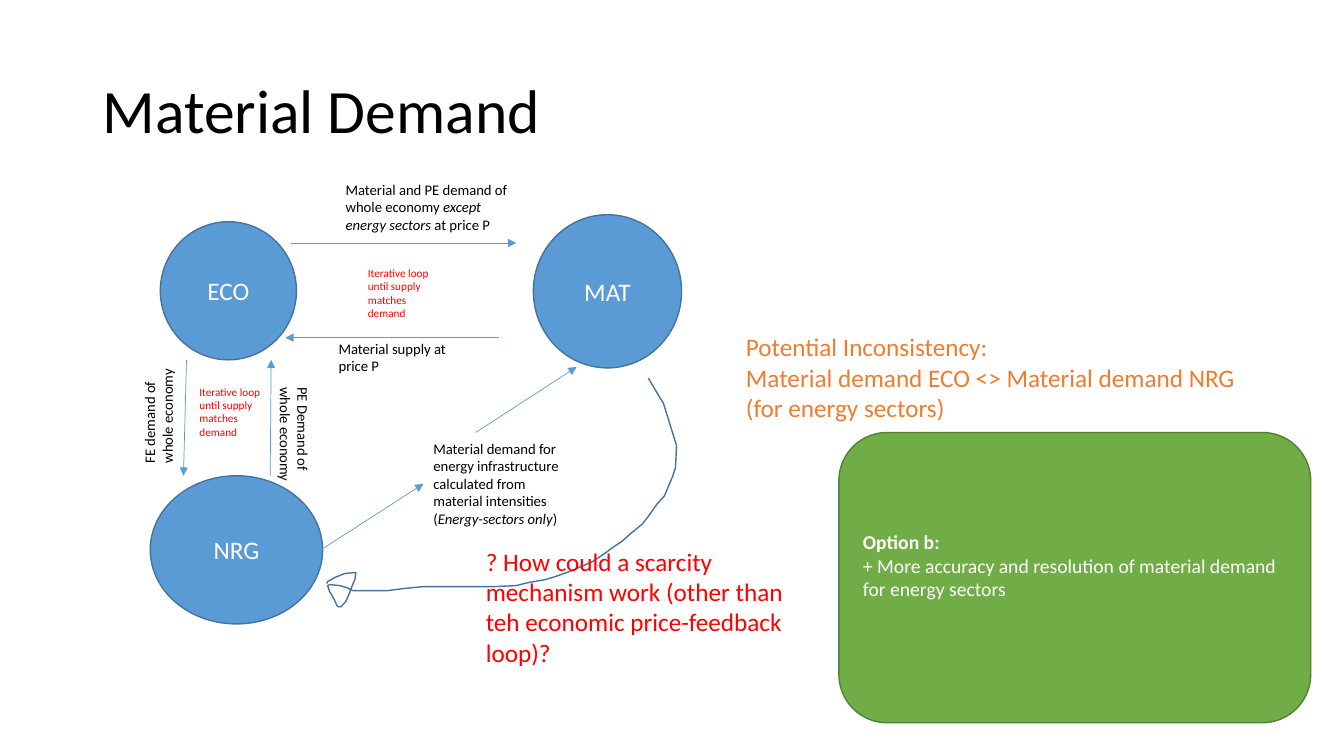
from lxml import etree
from pptx import Presentation
from pptx.dml.color import RGBColor
from pptx.enum.shapes import MSO_CONNECTOR as Link, MSO_SHAPE as Kind
from pptx.enum.text import MSO_ANCHOR as Anchor, PP_ALIGN as Align
from pptx.oxml.ns import qn
from pptx.util import Inches, Pt

BLACK, WHITE, RED, ORANGE = "000000", "FFFFFF", "FF0000", "ED7D31"
BLUE, NAVY, GREEN, MOSS = "5B9BD5", "43739E", "70AD47", "538035"

# Text is a list of paragraphs, each a list of runs; "/" marks italics, "*" bold.
TITLE = [["Material Demand"]]
LOOP = [["Iterative loop until supply matches demand"]]
OPTION = [["*Option b:"],
          ["+ More accuracy and resolution of material demand for energy sectors"]]
ISSUE = [["Potential Inconsistency:"],
         ["Material demand ECO <> Material demand NRG"],
         ["(for energy sectors)"]]
QUERY = [["? How could a scarcity mechanism work "
          "(other than teh economic price-feedback loop)?"]]

MODELS = [
    ("NRG", (1.49, 4.72, 1.71, 1.47)),
    ("MAT", (5.29, 2.13, 1.47, 1.52)),
    ("ECO", (1.59, 2.2, 1.35, 1.37)),
]
FLOWS = [
    ((2.89, 2.41), (5.12, 2.41)),
    ((4.95, 3.35), (2.83, 3.35)),
    ((1.85, 3.57), (1.82, 4.72)),
    ((2.68, 4.72), (2.69, 3.57)),
    ((3.19, 5.45), (4.2, 4.8)),
    ((4.72, 4.29), (5.72, 3.64)),
]
# text, box, size, colour, rotation
LABELS = [
    ([["Material and PE demand of whole economy ", "/except energy sectors",
       " at price P"]], (3.33, 1.74, 1.87, 0.63), 10.5, BLACK, 0),
    ([["Material demand for energy infrastructure calculated from "
       "material intensities (", "/Energy-sectors only", ")"]],
     (4.2, 4.31, 1.51, 0.98), 10.5, BLACK, 0),
    ([["Material supply at price P"]], (3.26, 3.32, 1.32, 0.45), 10.5, BLACK, 0),
    ([["FE demand of whole economy"]], (0.91, 3.81, 1.32, 0.45), 10.5, BLACK, 270),
    ([["PE Demand of whole economy"]], (2.26, 4.18, 1.32, 0.45), 10.5, BLACK, 90),
    (LOOP, (3.55, 2.59, 0.94, 0.64), 8, RED, 0),
    (LOOP, (1.88, 3.77, 0.94, 0.64), 8, RED, 0),
    (ISSUE, (7.3, 3.24, 5.2, 1.01), 18, ORANGE, 0),
]
# Hand-drawn arrow from MAT back to NRG
SCRAWL = [
    (6.43, 3.75), (6.56, 3.97), (6.58, 4), (6.71, 4.42), (6.7, 4.64),
    (6.67, 4.73), (6.59, 4.92), (6.51, 5.01), (6.44, 5.11), (6.37, 5.2),
    (6.26, 5.29), (6.17, 5.37), (6.08, 5.43), (6, 5.49), (5.88, 5.57),
    (5.79, 5.61), (5.65, 5.67), (5.51, 5.72), (5.41, 5.75), (5.24, 5.78),
    (5.12, 5.81), (4.91, 5.82), (4.2, 5.82), (4, 5.84), (3.84, 5.86),
    (3.5, 5.86), (3.44, 5.83), (3.37, 5.81), (3.27, 5.8), (3.25, 5.81),
    (3.27, 5.87), (3.3, 5.92), (3.35, 6.02), (3.38, 6.02), (3.43, 5.97),
    (3.46, 5.9), (3.49, 5.82), (3.52, 5.75), (3.53, 5.68), (3.42, 5.69),
    (3.32, 5.73), (3.25, 5.77), (3.24, 5.79),
]

deck = Presentation()
deck.slide_width, deck.slide_height = Inches(13.33), Inches(7.5)
slide = deck.slides.add_slide(deck.slide_layouts[6])
shapes = slide.shapes


def tint(color):
    return RGBColor.from_string(color)


def write(shape, text, size, color, anchor=Anchor.TOP, align=Align.LEFT):
    frame = shape.text_frame
    frame.word_wrap = True
    frame.vertical_anchor = anchor
    for i, parts in enumerate(text):
        para = frame.add_paragraph() if i else frame.paragraphs[0]
        para.alignment = align
        for part in parts:
            run = para.add_run()
            run.text = part.lstrip("/*")
            font = run.font
            font.name, font.size = "Calibri", Pt(size)
            font.color.rgb = tint(color)
            font.italic = part.startswith("/")
            font.bold = part.startswith("*")
    return frame


def label(text, box, size, color, turn=0, anchor=Anchor.TOP):
    shape = shapes.add_textbox(*map(Inches, box))
    shape.rotation = turn
    return write(shape, text, size, color, anchor)


def edge(shape, color):
    shape.shadow.inherit = False
    shape.line.color.rgb = tint(color)
    shape.line.width = Pt(1)


def block(kind, box, fill, line):
    shape = shapes.add_shape(kind, *map(Inches, box))
    shape.fill.solid()
    shape.fill.fore_color.rgb = tint(fill)
    edge(shape, line)
    return shape


def arrow(start, end):
    link = shapes.add_connector(Link.STRAIGHT, *map(Inches, start + end))
    link.line.color.rgb = tint(BLUE)
    link.line.width = Pt(0.5)
    props = link.element.spPr
    tip = etree.SubElement(props.find(qn("a:ln")), qn("a:tailEnd"))
    tip.set("type", "triangle")
    etree.SubElement(props, qn("a:effectLst"))


def sketch(points):
    """Draw an open, unfilled outline through the points."""
    first, *rest = [(Inches(x), Inches(y)) for x, y in points]
    pen = shapes.build_freeform(*first)
    pen.add_line_segments(rest, close=False)
    shape = pen.convert_to_shape()
    shape.fill.background()
    edge(shape, NAVY)


head = label(TITLE, (0.92, 0.4, 11.5, 1.45), 44, BLACK, anchor=Anchor.MIDDLE)
head.paragraphs[0].line_spacing = 0.9
for name, box in MODELS:
    write(block(Kind.OVAL, box, BLUE, NAVY), [[name]], 18, WHITE,
          Anchor.MIDDLE, Align.CENTER)
for start, end in FLOWS:
    arrow(start, end)
for item in LABELS:
    label(*item)
panel = block(Kind.ROUNDED_RECTANGLE, (8.32, 4.29, 4.68, 2.88), GREEN, MOSS)
write(panel, OPTION, 14, WHITE, Anchor.MIDDLE).margin_bottom = Inches(0.29)
sketch(SCRAWL)
label(QUERY, (4.72, 5.37, 3.21, 1.31), 18, RED)

deck.save("out.pptx")
